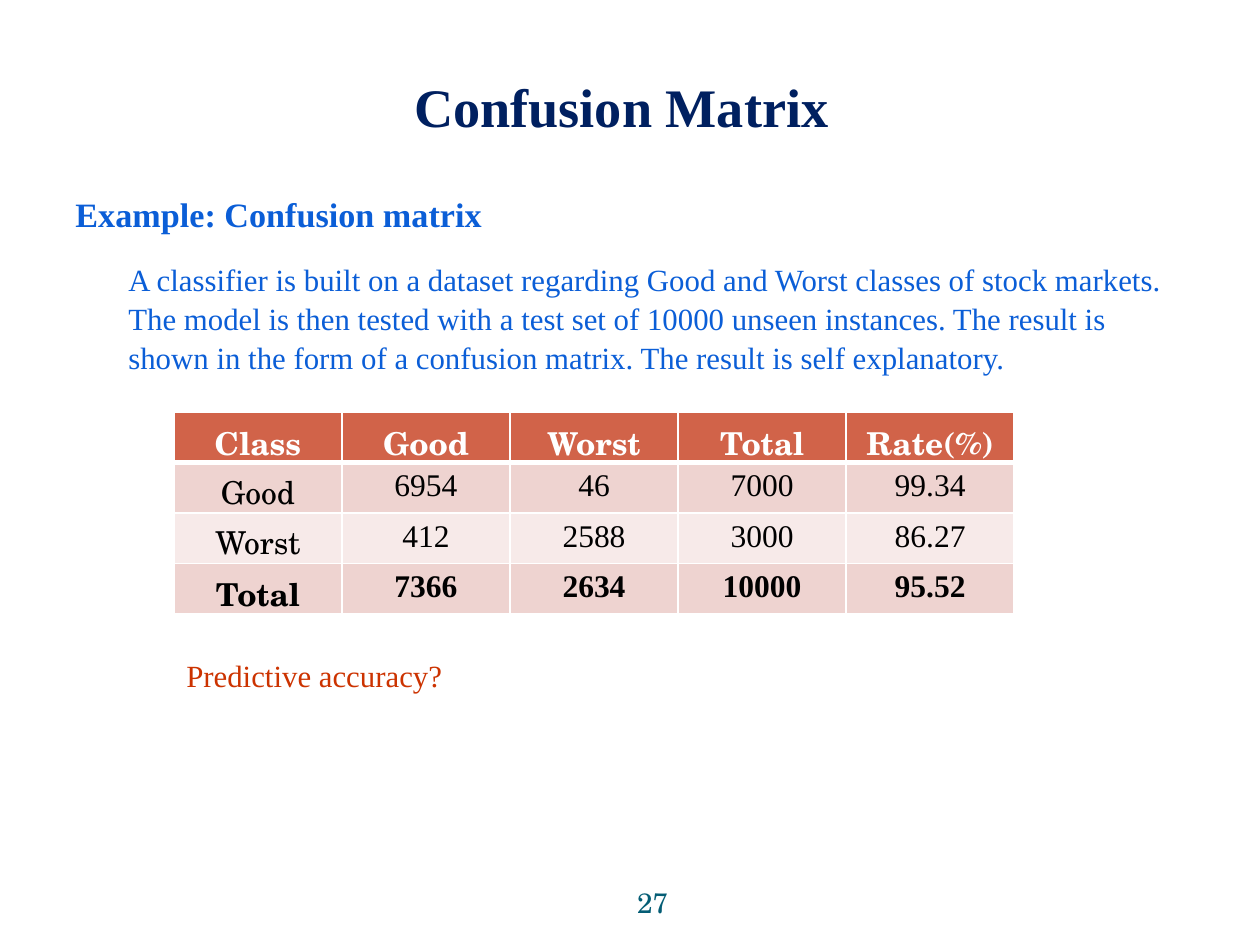
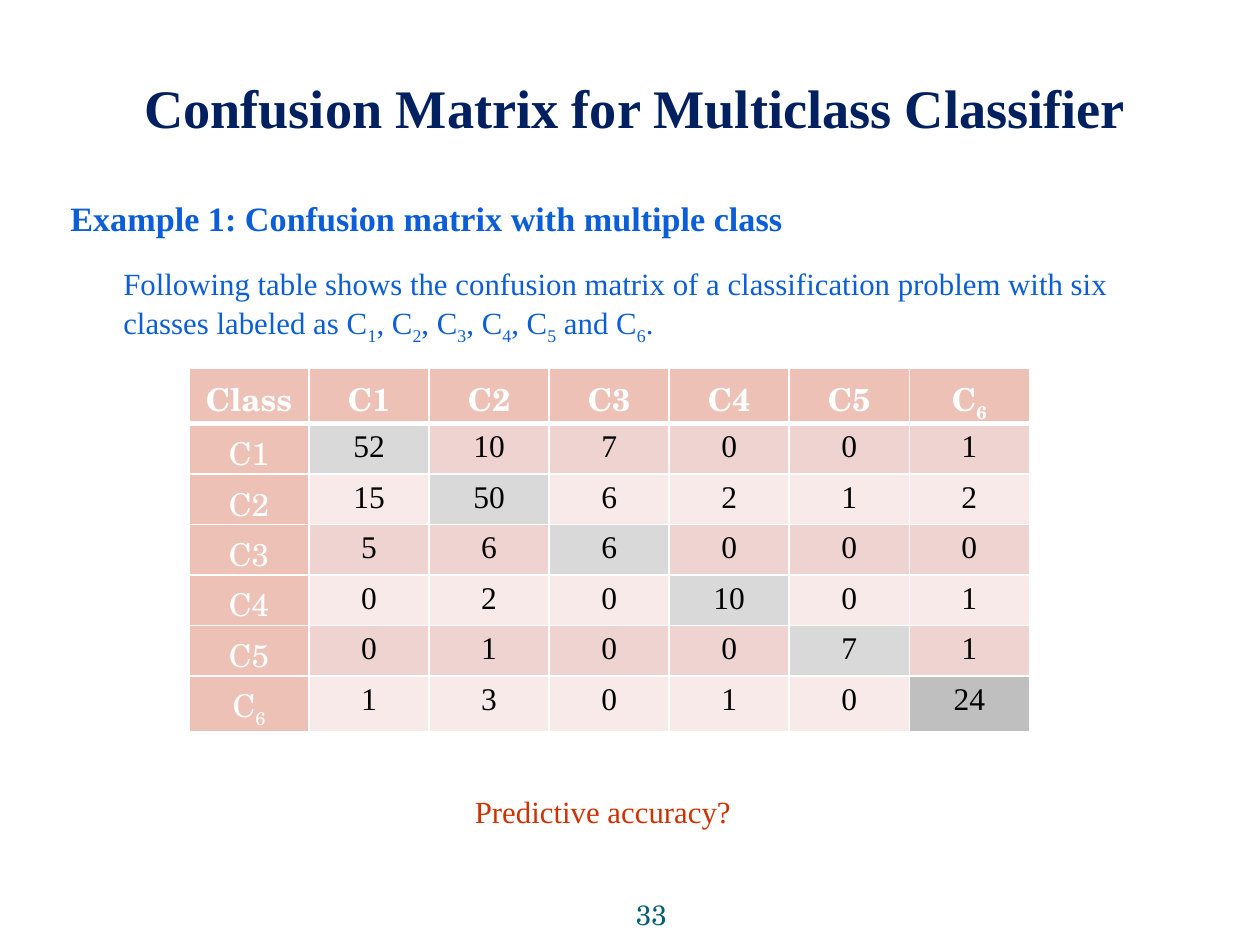
import pptx
import pptx.dml.color
import pptx.enum.text
import pptx.oxml
import pptx.oxml.ns
import pptx.util

SERIF, SCHOLA = "Times New Roman", "TeX Gyre Schola"
WHITE, BLACK = "FFFFFF", "000000"
BANDS = ("EED3D0", "F7EAE9")
ANCHOR = pptx.enum.text.MSO_ANCHOR
CENTER = pptx.enum.text.PP_ALIGN.CENTER

TITLE = dict(name=SERIF, size=31, color="002060", bold=True)
HEADING = dict(name=SERIF, size=19.5, color="0B5ED7", bold=True)
BODY = dict(HEADING, size=17.6, bold=False)
QUESTION = dict(name=SERIF, size=17.6, color="CC3300", bold=False)
PAGE_NUMBER = dict(name=SCHOLA, size=16, color="045D75", bold=False)
CELL = dict(name=SERIF, size=18, color=BLACK, bold=False)
HEADER_CELL = dict(CELL, name=SCHOLA, color=WHITE, bold=True)

TABLE_WIDTH = 6.67

# "_" sets the next character as a subscript; boxes are left, top, width, height in inches.
SLIDES = [
    dict(
        title="Confusion Matrix", title_box=(0.43, 0.16, 9, 0.99),
        heading="Example: Confusion matrix",
        body="A classifier is built on a dataset regarding Good and Worst classes of stock "
             "markets. The model is then tested with a test set of 10000 unseen instances. "
             "The result is shown in the form of a confusion matrix. "
             "The result is self explanatory.",
        body_box=(0.5, 1.47, 9.08, 4.73), body_inset=0.05,
        rows=[
            ("Class", "Good", "Worst", "Total", "Rate(%)"),
            ("Good", "6954", "46", "7000", "99.34"),
            ("Worst", "412", "2588", "3000", "86.27"),
            ("Total", "7366", "2634", "10000", "95.52"),
        ],
        table_at=(1.38, 3.27), row_height=0.4, header_fill="D16349",
        class_fill=None, class_color=BLACK, diagonal=(), bold_last_row=True,
        question_at=(1.38, 5.16), number="27", number_at=(4.93, 6.92),
    ),
    dict(
        title="Confusion Matrix for Multiclass Classifier", title_box=(0.27, 0.43, 9.53, 0.73),
        heading="Example 1: Confusion matrix with multiple class",
        body="Following table shows the confusion matrix of a classification problem with six "
             "classes labeled as C_1, C_2, C_3, C_4, C_5 and C_6.",
        body_box=(0.46, 1.32, 9.08, 5.11), body_inset=0.23,
        rows=[
            ("Class", "C1", "C2", "C3", "C4", "C5", "C_6"),
            ("C1", "52", "10", "7", "0", "0", "1"),
            ("C2", "15", "50", "6", "2", "1", "2"),
            ("C3", "5", "6", "6", "0", "0", "0"),
            ("C4", "0", "2", "0", "10", "0", "1"),
            ("C5", "0", "1", "0", "0", "7", "1"),
            ("C_6", "1", "3", "0", "1", "0", "24"),
        ],
        table_at=(1.5, 2.92), row_height=0.39, header_fill="EDC1B6",
        class_fill="EDC1B6", class_color=WHITE,
        diagonal=("D9D9D9",) * 5 + ("BFBFBF",), bold_last_row=False,
        question_at=(3.67, 6.24), number="33", number_at=(4.92, 7.02),
    ),
]


def rgb(value):
    return pptx.dml.color.RGBColor.from_string(value)


def inches(values):
    return [pptx.util.Inches(value) for value in values]


def add_run(paragraph, text, style, subscript=False):
    run = paragraph.add_run()
    run.text = text
    font_values = dict(name=style["name"], size=pptx.util.Pt(style["size"]), bold=style["bold"])
    for attribute, value in font_values.items():
        setattr(run.font, attribute, value)
    run.font.color.rgb = rgb(style["color"])
    if subscript:
        run._r.get_or_add_rPr().set("baseline", "-25000")


def write(paragraph, text, style, **paragraph_format):
    for attribute, value in paragraph_format.items():
        setattr(paragraph, attribute, value)
    plain, *marked = text.split("_")
    add_run(paragraph, plain, style)
    for part in marked:
        add_run(paragraph, part[0], style, subscript=True)
        if part[1:]:
            add_run(paragraph, part[1:], style)


def format_frame(frame, **values):
    for attribute, value in dict(word_wrap=True, **values).items():
        setattr(frame, attribute, value)


def add_title(slide, content):
    title = slide.shapes.title
    title.left, title.top, title.width, title.height = inches(content["title_box"])
    format_frame(title.text_frame, vertical_anchor=ANCHOR.BOTTOM,
                 auto_size=pptx.enum.text.MSO_AUTO_SIZE.NONE)
    write(title.text_frame.paragraphs[0], content["title"], TITLE, alignment=CENTER)


def add_body(slide, content):
    frame = slide.shapes.add_textbox(*inches(content["body_box"])).text_frame
    format_frame(frame, margin_top=pptx.util.Inches(content["body_inset"]))
    write(frame.paragraphs[0], content["heading"], HEADING, line_spacing=1.05)
    paragraph = frame.add_paragraph()
    properties = paragraph._p.get_or_add_pPr()
    properties.set("marL", str(pptx.util.Inches(0.42)))
    properties.set("indent", "0")
    write(paragraph, content["body"], BODY, line_spacing=1.05, space_before=pptx.util.Pt(14))


def set_borders(cell, top, bottom):
    """Draw white cell borders; must come before the cell's fill."""
    properties = cell._tc.get_or_add_tcPr()
    for side, points in (("L", 1), ("R", 1), ("T", top), ("B", bottom)):
        properties.append(pptx.oxml.parse_xml(
            f'<a:ln{side} {pptx.oxml.ns.nsdecls("a")} w="{pptx.util.Pt(points)}">'
            f'<a:solidFill><a:srgbClr val="{WHITE}"/></a:solidFill></a:ln{side}>'))


def cell_look(content, row, column):
    """Return the fill and text style of one table cell."""
    if row == 0:
        return content["header_fill"], HEADER_CELL
    bold = content["bold_last_row"] and row == len(content["rows"]) - 1
    fill = BANDS[(row - 1) % 2]
    if column == 0:
        style = dict(CELL, name=SCHOLA, color=content["class_color"], bold=bold)
        return content["class_fill"] or fill, style
    if row == column and content["diagonal"]:
        fill = content["diagonal"][row - 1]
    return fill, dict(CELL, bold=bold)


def add_matrix(slide, content):
    rows = content["rows"]
    size = (TABLE_WIDTH, content["row_height"] * len(rows))
    table = slide.shapes.add_table(len(rows), len(rows[0]),
                                   *inches(content["table_at"] + size)).table
    table.first_row = table.horz_banding = False
    for row, values in enumerate(rows):
        for column, text in enumerate(values):
            cell = table.cell(row, column)
            fill, style = cell_look(content, row, column)
            set_borders(cell, top=3 if row == 1 else 1, bottom=3 if row == 0 else 1)
            cell.fill.solid()
            cell.fill.fore_color.rgb = rgb(fill)
            write(cell.text_frame.paragraphs[0], text, style, alignment=CENTER)


def add_question(slide, content):
    frame = slide.shapes.add_textbox(*inches(content["question_at"] + (2.25, 0.39))).text_frame
    frame.auto_size = pptx.enum.text.MSO_AUTO_SIZE.SHAPE_TO_FIT_TEXT
    frame.word_wrap = False
    write(frame.paragraphs[0], "Predictive accuracy?", QUESTION)


def add_page_number(slide, content):
    frame = slide.shapes.add_textbox(*inches(content["number_at"] + (0.5, 0.48))).text_frame
    inset = pptx.util.Inches(0.05)
    format_frame(frame, vertical_anchor=ANCHOR.MIDDLE, margin_left=inset, margin_right=inset)
    write(frame.paragraphs[0], content["number"], PAGE_NUMBER, alignment=CENTER)


def main():
    presentation = pptx.Presentation()
    presentation.slide_width, presentation.slide_height = inches((10, 7.5))
    title_only = presentation.slide_layouts.get_by_name("Title Only")
    for content in SLIDES:
        slide = presentation.slides.add_slide(title_only)
        for add_part in (add_title, add_body, add_page_number, add_matrix, add_question):
            add_part(slide, content)
    presentation.save("out.pptx")


if __name__ == "__main__":
    main()
